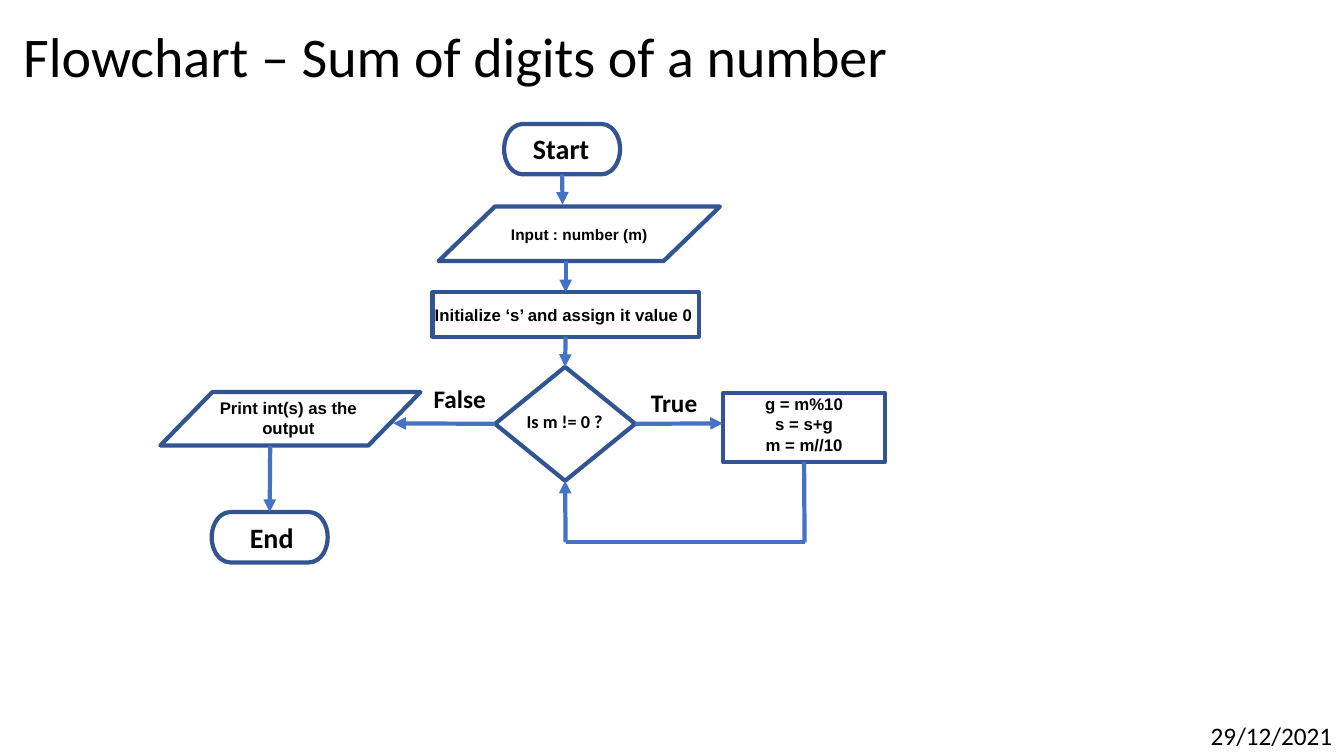
import pptx
import pptx.util
import pptx.dml.color
import pptx.enum.shapes
import pptx.enum.text
import pptx.oxml
import pptx.oxml.ns

Inches = pptx.util.Inches
Kind = pptx.enum.shapes.MSO_SHAPE
Align = pptx.enum.text.PP_ALIGN
Fit = pptx.enum.text.MSO_AUTO_SIZE
TOP, LEFT, BOTTOM, RIGHT = range(4)
COLORS = {"text": "000000", "edge": "325491", "arrow": "4472C4"}


class Chart:
    def __init__(self, slide):
        self.slide = slide
        self.width = pptx.util.Pt(3)

    def color(self, name):
        return pptx.dml.color.RGBColor.from_string(COLORS[name])

    def words(self, frame, lines, size, font, bold, align):
        for i, line in enumerate(lines):
            para = frame.paragraphs[0] if i == 0 else frame.add_paragraph()
            para.alignment = align
            run = para.add_run()
            run.text = line
            run.font.size = pptx.util.Pt(size)
            run.font.name = font
            run.font.bold = bold
            run.font.color.rgb = self.color("text")

    def title(self, text, box):
        head = self.slide.shapes.title
        head.left, head.top, head.width, head.height = map(Inches, box)
        frame = head.text_frame
        frame.auto_size = Fit.NONE
        frame.vertical_anchor = pptx.enum.text.MSO_ANCHOR.MIDDLE
        self.words(frame, [text], 40, "Calibri", False, Align.LEFT)
        frame.paragraphs[0].line_spacing = 0.9

    def label(self, lines, box, size, font="Calibri", bold=True,
              align=Align.CENTER, wrap=True):
        frame = self.slide.shapes.add_textbox(*map(Inches, box)).text_frame
        frame.word_wrap = wrap
        frame.auto_size = Fit.SHAPE_TO_FIT_TEXT
        self.words(frame, lines, size, font, bold, align)

    def node(self, kind, box):
        shape = self.slide.shapes.add_shape(kind, *map(Inches, box))
        shape.shadow.inherit = False
        shape.fill.background()
        shape.line.color.rgb = self.color("edge")
        shape.line.width = self.width
        return shape

    def link(self, start, end, begin=None, finish=None, arrow=True):
        line = self.slide.shapes.add_connector(
            pptx.enum.shapes.MSO_CONNECTOR.STRAIGHT, *map(Inches, start + end))
        line.line.color.rgb = self.color("arrow")
        line.line.width = self.width
        make = pptx.oxml.parse_xml
        space = pptx.oxml.ns.nsdecls("a")
        props = line._element.spPr
        if arrow:
            props.find(pptx.oxml.ns.qn("a:ln")).append(
                make(f'<a:tailEnd {space} type="triangle"/>'))
        props.append(make(f"<a:effectLst {space}/>"))
        if begin:
            line.begin_connect(*begin)
        if finish:
            line.end_connect(*finish)


def main():
    deck = pptx.Presentation()
    deck.slide_width, deck.slide_height = Inches(13.33), Inches(7.5)
    chart = Chart(deck.slides.add_slide(deck.slide_layouts[5]))

    chart.title("Flowchart – Sum of digits of a number", (0.13, -0.14, 11.5, 1.45))
    chart.label(["29/12/2021"], (11.91, 7.1, 1.42, 0.4), 18,
                bold=False, align=Align.LEFT, wrap=False)

    start = chart.node(Kind.FLOWCHART_TERMINATOR, (5, 1.23, 1.15, 0.5))
    chart.node(Kind.FLOWCHART_DATA, (4.35, 2.05, 2.79, 0.54))
    setup = chart.node(Kind.FLOWCHART_PROCESS, (4.29, 2.9, 2.64, 0.44))
    test = chart.node(Kind.FLOWCHART_DECISION, (4.91, 3.64, 1.39, 1.13))
    step = chart.node(Kind.FLOWCHART_PROCESS, (7.17, 3.9, 1.61, 0.68))
    chart.node(Kind.FLOWCHART_DATA, (1.59, 3.89, 2.58, 0.53))
    end = chart.node(Kind.FLOWCHART_TERMINATOR, (2.1, 5.08, 1.15, 0.5))

    chart.link((5.58, 1.73), (5.58, 2.03), begin=(start, BOTTOM))
    chart.link((5.61, 2.59), (5.61, 2.9), finish=(setup, TOP))
    chart.link((5.61, 3.34), (5.61, 3.64), (setup, BOTTOM), (test, TOP))
    chart.link((6.3, 4.2), (7.17, 4.2), begin=(test, RIGHT))
    chart.link((4.91, 4.2), (3.9, 4.2), begin=(test, LEFT))
    chart.link((2.68, 4.42), (2.68, 5.08), finish=(end, TOP))
    chart.link((7.98, 4.58), (7.98, 5.38), begin=(step, BOTTOM), arrow=False)
    chart.link((7.98, 5.38), (5.61, 5.38), arrow=False)
    chart.link((5.61, 5.38), (5.61, 4.77), finish=(test, BOTTOM))

    chart.label(["Start"], (5.12, 1.26, 0.89, 0.44), 20)
    chart.label(["Input : number (m)"], (4.54, 2.18, 2.41, 0.29), 11, "Arial")
    chart.label(["Initialize ‘s’ and assign it value 0"],
                (4.09, 2.97, 3, 0.3), 12, "Arial")
    chart.label(["Is m != 0 ?"], (4.67, 4.02, 1.86, 0.32), 13)
    chart.label(["True"], (6.34, 3.79, 0.69, 0.4), 18)
    chart.label(["False"], (4.14, 3.75, 0.84, 0.4), 18)
    chart.label(["g = m%10", "s = s+g", "m = m//10"],
                (7.31, 3.86, 1.33, 0.91), 12, "Arial")
    chart.label(["Print int(s) as the output"],
                (1.85, 3.9, 2.02, 0.5), 12, "Arial")
    chart.label(["End"], (2.25, 5.11, 0.89, 0.44), 20)

    deck.save("out.pptx")


if __name__ == "__main__":
    main()
